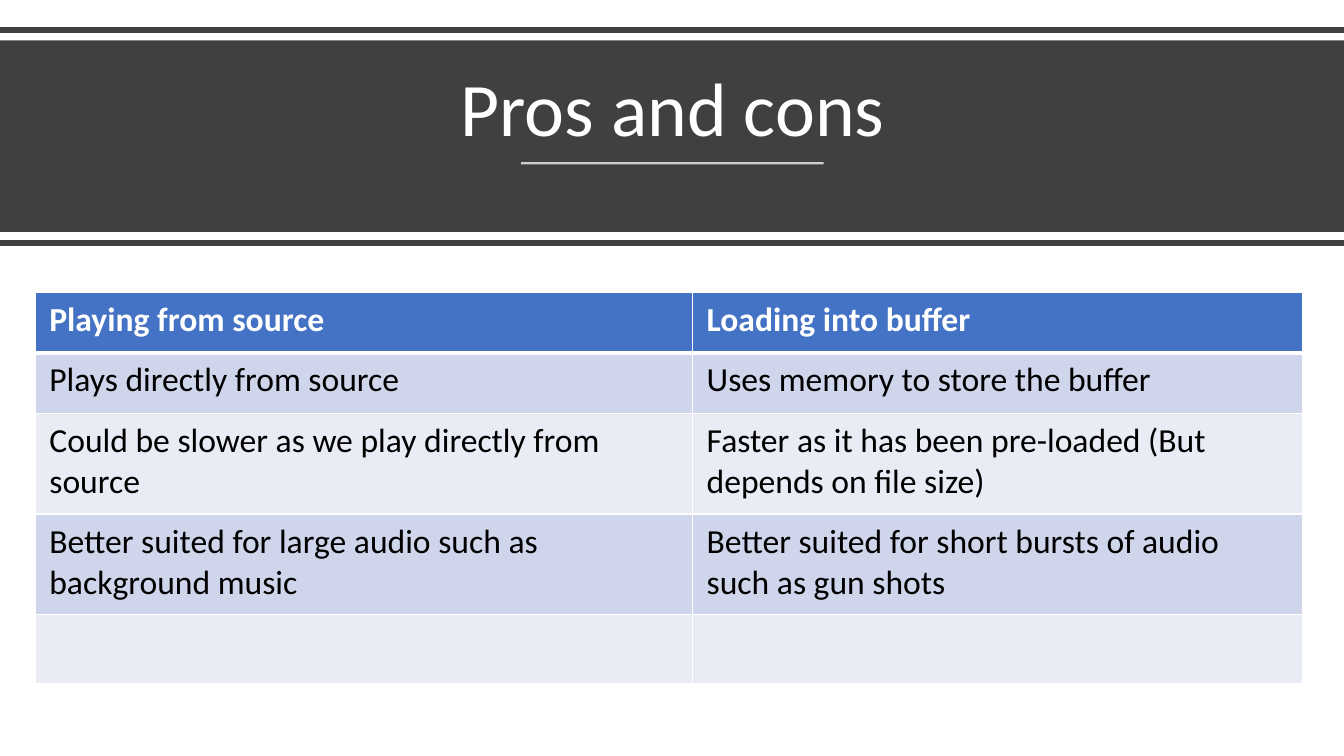
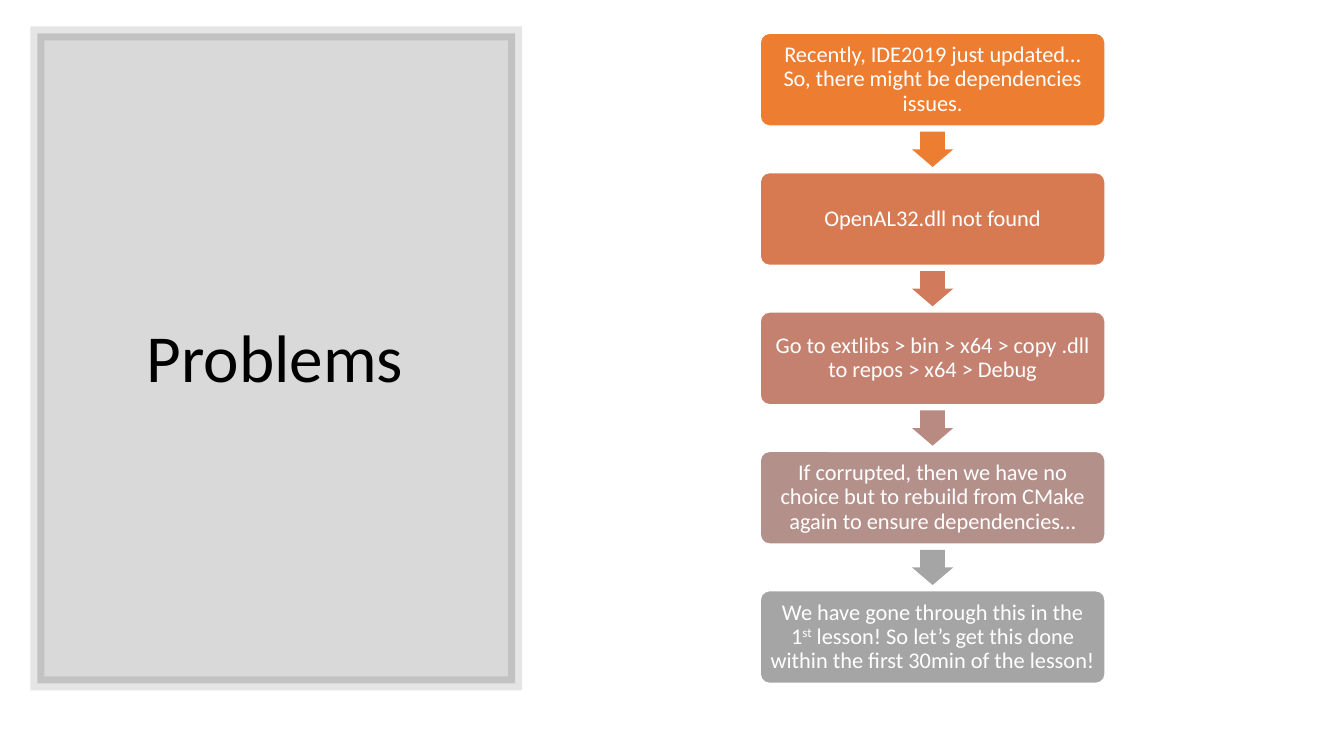
import pptx
import pptx.util
import pptx.dml.color
import pptx.enum.shapes
import pptx.enum.text
import pptx.oxml
import pptx.oxml.ns

Inches, Pt = pptx.util.Inches, pptx.util.Pt
SHAPE = pptx.enum.shapes.MSO_SHAPE
ALIGN = pptx.enum.text.PP_ALIGN
ANCHOR = pptx.enum.text.MSO_ANCHOR
qn = pptx.oxml.ns.qn

COLORS = {
    "white": "FFFFFF", "black": "000000", "band": "404040",
    "header": "4472C4", "odd_row": "CFD5EA", "even_row": "E9EBF5",
}
WIDTH, HEIGHT = 13.33, 7.5


def rgb(color):
    return pptx.dml.color.RGBColor.from_string(COLORS.get(color, color))


def apply(target, values):
    for name, value in values.items():
        setattr(target, name, value)


def set_alpha(properties, percent):
    """Make the colour inside a fill or line element partly transparent."""
    color = next(properties.iter(qn("a:srgbClr")))
    color.append(pptx.oxml.parse_xml(
        f'<a:alpha {pptx.oxml.ns.nsdecls("a")} val="{percent * 1000}"/>'))


class Deck:
    FONT = "Calibri"

    def __init__(self):
        self.presentation = pptx.Presentation()
        apply(self.presentation, {"slide_width": Inches(WIDTH), "slide_height": Inches(HEIGHT)})
        self.slide = None

    def new_slide(self):
        self.slide = self.presentation.slides.add_slide(self.presentation.slide_layouts[6])

    def add_text(self, frame, parts, size, color, bold=False, centred=True):
        """Fill a frame with one paragraph; parts are (text, baseline) pairs."""
        paragraph = frame.paragraphs[0]
        if centred:
            apply(paragraph, {"alignment": ALIGN.CENTER, "line_spacing": 0.9})
        for text, baseline in parts:
            run = paragraph.add_run()
            run.text = text
            apply(run.font, {"name": self.FONT, "size": Pt(size), "bold": bold})
            run.font.color.rgb = rgb(color)
            if baseline:
                run.font._element.set("baseline", str(baseline * 1000))

    def title(self, text, box, size, color, anchor):
        frame = self.slide.shapes.add_textbox(*map(Inches, box)).text_frame
        apply(frame, {"word_wrap": True, "vertical_anchor": anchor})
        self.add_text(frame, [(text, 0)], size, color)

    def shape(self, kind, box, fill, line=None, line_width=1, adjustments=()):
        shape = self.slide.shapes.add_shape(kind, *map(Inches, box))
        shape.shadow.inherit = False
        shape.fill.solid()
        shape.fill.fore_color.rgb = rgb(fill)
        if line:
            shape.line.color.rgb = rgb(line)
            shape.line.width = Pt(line_width)
        else:
            shape.line.fill.background()
        for index, value in enumerate(adjustments):
            shape.adjustments[index] = value
        return shape

    def panel(self, box, color, fill_alpha, border_width, border_alpha):
        panel = self.shape(SHAPE.RECTANGLE, box, color, color, border_width)
        set_alpha(panel._element.spPr.find(qn("a:solidFill")), fill_alpha)
        border = panel.line._get_or_add_ln()
        set_alpha(border, border_alpha)
        border.append(pptx.oxml.parse_xml(
            f'<a:miter {pptx.oxml.ns.nsdecls("a")} lim="800000"/>'))

    def rule(self, left, right, y, color, width, alpha=100):
        rule = self.slide.shapes.add_connector(
            pptx.enum.shapes.MSO_CONNECTOR.STRAIGHT,
            Inches(left), Inches(y), Inches(right), Inches(y))
        rule.line.color.rgb = rgb(color)
        rule.line.width = Pt(width)
        if alpha < 100:
            set_alpha(rule.line._get_or_add_ln(), alpha)
        rule._element.spPr.append(
            pptx.oxml.parse_xml(f'<a:effectLst {pptx.oxml.ns.nsdecls("a")}/>'))

    def step(self, parts, box, fill):
        frame = self.shape(SHAPE.ROUNDED_RECTANGLE, box, fill, "white", 1, [0.1]).text_frame
        margins = dict.fromkeys(
            ("margin_left", "margin_top", "margin_right", "margin_bottom"), Inches(0.07))
        apply(frame, {"word_wrap": True, "vertical_anchor": ANCHOR.MIDDLE, **margins})
        self.add_text(frame, parts, 16, "white")

    def cell_borders(self, cell, widths):
        properties = cell._tc.get_or_add_tcPr()
        for index, (side, width) in enumerate(zip("LRTB", widths)):
            properties.insert(index, pptx.oxml.parse_xml(
                f'<a:ln{side} {pptx.oxml.ns.nsdecls("a")} w="{Pt(width)}"><a:solidFill>'
                f'<a:srgbClr val="{COLORS["white"]}"/></a:solidFill></a:ln{side}>'))

    def table(self, rows, left, top, widths, heights):
        box = map(Inches, (left, top, sum(widths), sum(heights)))
        table = self.slide.shapes.add_table(len(rows), len(widths), *box).table
        for column, width in zip(table.columns, widths):
            column.width = Inches(width)
        for number, (texts, height) in enumerate(zip(rows, heights)):
            table.rows[number].height = Inches(height)
            header = number == 0
            fill = "header" if header else "odd_row" if number % 2 else "even_row"
            for column, text in enumerate(texts):
                cell = table.cell(number, column)
                apply(cell, {"margin_left": Inches(0.14), "margin_right": Inches(0.14),
                             "margin_top": Inches(0.07), "margin_bottom": Inches(0.07)})
                cell.fill.solid()
                cell.fill.fore_color.rgb = rgb(fill)
                # The line under the header is heavier
                self.cell_borders(cell, (1, 1, 3 if number == 1 else 1, 3 if header else 1))
                if text:
                    self.add_text(cell.text_frame, [(text, 0)], 24,
                                  "white" if header else "black", header, centred=False)


def pros_and_cons(deck):
    deck.new_slide()
    # Title band between two rules
    for y in (0.3, 2.41):
        deck.rule(0, WIDTH, y, "band", 4)
    deck.shape(SHAPE.RECTANGLE, (0, 0.4, WIDTH, 1.9), "band")
    deck.title("Pros and cons", (0.58, 0.54, 12.18, 1.02), 54, "white", ANCHOR.BOTTOM)
    deck.rule(5.17, 8.17, 1.62, "white", 1.5, alpha=75)

    # Comparison
    comparison = [
        ("Playing from source", "Loading into buffer"),
        ("Plays directly from source", "Uses memory to store the buffer"),
        ("Could be slower as we play directly from source",
         "Faster as it has been pre-loaded (But depends on file size)"),
        ("Better suited for large audio such as background music",
         "Better suited for short bursts of audio such as gun shots"),
        ("", ""),
    ]
    deck.table(comparison, 0.35, 2.9, (6.52, 6.05), (0.6, 0.6, 1, 1, 0.68))


def problems(deck):
    deck.new_slide()
    # Title panel
    deck.panel((0.37, 0.33, 4.74, 6.45), "black", 15, 10, 10)
    deck.title("Problems", (0.65, 0.7, 4.16, 5.75), 48, "black", ANCHOR.MIDDLE)

    # Steps, each with the colour of its box and of the arrow below it
    steps = [
        ([("Recently, IDE2019 just updated… So, there might be dependencies issues.", 0)],
         "ED7D31", "ED7D31"),
        ([("OpenAL32.dll not found", 0)], "D87A51", "D17B5C"),
        ([("Go to extlibs > bin > x64 > copy .dll to repos > x64 > Debug", 0)],
         "C48170", "B98A82"),
        ([("If corrupted, then we have no choice but to rebuild from CMake again "
           "to ensure dependencies…", 0)], "B4908B", "A5A5A5"),
        ([("We have gone through this in the 1", 0), ("st", 30),
          (" lesson! So let’s get this done within the first 30min of the lesson!", 0)],
         "A5A5A5", None),
    ]
    left, top, width, height = 7.54, 0.33, 3.42, 0.92
    arrow_width, arrow_height = 0.41, 0.35
    pitch = (5.86 - top) / (len(steps) - 1)
    for number, (parts, fill, arrow_fill) in enumerate(steps):
        step_top = top + number * pitch
        deck.step(parts, (left, step_top, width, height), fill)
        if arrow_fill:
            arrow_left = left + (width - arrow_width) / 2
            arrow_top = step_top + (height + pitch - arrow_height) / 2
            deck.shape(SHAPE.DOWN_ARROW, (arrow_left, arrow_top, arrow_width, arrow_height),
                       arrow_fill, adjustments=(0.6, 0.5))


def main():
    deck = Deck()
    pros_and_cons(deck)
    problems(deck)
    deck.presentation.save("out.pptx")


if __name__ == "__main__":
    main()
